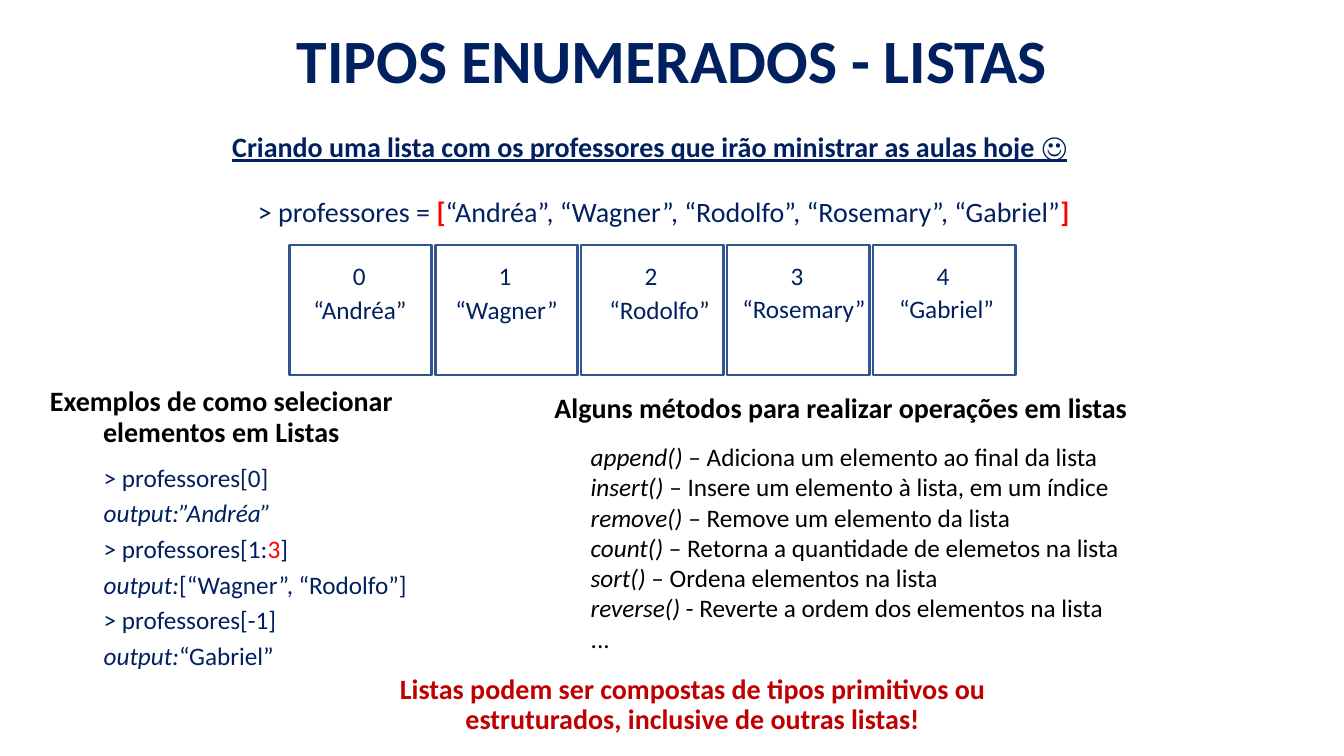
from dataclasses import dataclass

from pptx import Presentation
from pptx.dml.color import RGBColor
from pptx.enum.shapes import MSO_SHAPE
from pptx.enum.text import MSO_ANCHOR, MSO_AUTO_SIZE, PP_ALIGN
from pptx.util import Inches, Pt

RECTANGLE = MSO_SHAPE.RECTANGLE
TOP, MIDDLE = MSO_ANCHOR.TOP, MSO_ANCHOR.MIDDLE
FIT_SHAPE, FIXED = MSO_AUTO_SIZE.SHAPE_TO_FIT_TEXT, MSO_AUTO_SIZE.NONE
LEFT, CENTER = PP_ALIGN.LEFT, PP_ALIGN.CENTER


@dataclass(frozen=True)
class Theme:
    font: str = "Calibri"
    navy: str = "002060"
    red: str = "FF0000"
    dark_red: str = "C00000"
    black: str = "000000"
    white: str = "FFFFFF"
    border: str = "325491"
    title: int = 44
    heading: int = 20
    body: int = 18


THEME = Theme()


class SlideBuilder:
    """Places elements by percentages of the slide's width and height."""

    def __init__(self, deck, theme):
        self.theme = theme
        self.width, self.height = deck.slide_width, deck.slide_height
        self.slide = deck.slides.add_slide(deck.slide_layouts[6])

    def area(self, left, top, width, height):
        return (round(left * self.width / 100), round(top * self.height / 100),
                round(width * self.width / 100), round(height * self.height / 100))

    def span(self, para, text, size, color, styles):
        span = para.add_run()
        span.text = text
        font = span.font
        font.name, font.size = self.theme.font, Pt(size)
        font.color.rgb = RGBColor.from_string(styles.get("color", color))
        font.bold = styles.get("bold", False)
        font.italic = styles.get("italic", False)
        font.underline = styles.get("underline", False)

    def text(self, place, paragraphs, size, color, align=LEFT, anchor=TOP,
             spaced=False, wrap=True, grow=False):
        """Each paragraph is a list of (text, styles) pairs."""
        frame = self.slide.shapes.add_textbox(*self.area(*place)).text_frame
        frame.word_wrap = wrap
        frame.auto_size = FIT_SHAPE if grow else FIXED
        frame.vertical_anchor = anchor
        for number, spans in enumerate(paragraphs):
            para = frame.add_paragraph() if number else frame.paragraphs[0]
            para.alignment = align
            if spaced:
                para.line_spacing = 0.9
                para.space_after = Pt(6)
                para._p.get_or_add_pPr().set("marL", str(Inches(0.06)))
            for text, styles in spans:
                self.span(para, text, size, color, styles)

    def line(self, place, spans, color, align=LEFT, size=THEME.heading):
        self.text(place, [spans], size, color, align, MIDDLE, spaced=True)

    def cell(self, place):
        box = self.slide.shapes.add_shape(RECTANGLE, *self.area(*place))
        box.shadow.inherit = False
        box.fill.solid()
        box.fill.fore_color.rgb = RGBColor.from_string(self.theme.white)
        box.line.color.rgb = RGBColor.from_string(self.theme.border)
        box.line.width = Pt(1.75)


BOLD, ITALIC = {"bold": True}, {"italic": True}
BRACKET = {"bold": True, "color": THEME.red}

# Name, inset from the cell's left side, top and width of its label
TEACHERS = [
    ("“Andréa”", 1.05, 38.27, 8.48),
    ("“Wagner”", 0.75, 38.27, 9.23),
    ("“Rodolfo”", 1.35, 38.27, 9.08),
    ("“Rosemary”", 0.38, 38.13, 10.73),
    ("“Gabriel”", 1.2, 38.13, 8.63),
]
CELL_LEFT, CELL_STEP = 21.53, 10.86

EXAMPLES = [
    [("> professores[0]", {})],
    [("output:”Andréa”", ITALIC)],
    [("> professores[1:", {}), ("3", {"color": THEME.red}), ("]", {})],
    [("output:", ITALIC), ("[“Wagner”, “Rodolfo”]", {})],
    [("> professores[-1]", {})],
    [("output:", ITALIC), ("“Gabriel”", {})],
]

METHODS = [
    ("append()", " – Adiciona um elemento ao final da lista"),
    ("insert()", " – Insere um elemento à lista, em um índice"),
    ("remove()", " – Remove um elemento da lista"),
    ("count()", " – Retorna a quantidade de elemetos na lista"),
    ("sort()", " – Ordena elementos na lista"),
    ("reverse()", " - Reverte a ordem dos elementos na lista"),
]


def main():
    deck = Presentation()
    deck.slide_width, deck.slide_height = Inches(13.33), Inches(7.5)
    page = SlideBuilder(deck, THEME)

    # Title and subtitle
    page.text((2.25, 2.27, 95.57, 11.2), [[("TIPOS ENUMERADOS - LISTAS", BOLD)]],
              THEME.title, THEME.navy, CENTER, grow=True)
    page.line((15.15, 15.87, 65.94, 7.6),
              [("Criando uma lista com os professores que irão ministrar as aulas hoje ☺",
                {"bold": True, "underline": True})], THEME.navy, CENTER)

    # List definition
    names = ", ".join(teacher[0] for teacher in TEACHERS)
    page.line((18, 24.4, 65.94, 7.6),
              [("> professores = ", {}), ("[", BRACKET), (names, {}), ("]", BRACKET)],
              THEME.navy)

    # Cells with index and name
    for index, (name, inset, top, width) in enumerate(TEACHERS):
        left = CELL_LEFT + index * CELL_STEP
        page.cell((left, 32.4, 10.58, 17.2))
        page.text((left + inset, top, width, 5.33), [[(name, {})]],
                  THEME.body, THEME.navy, wrap=False, grow=True)
        page.line((left + 3.53, 33.73, 2.85, 6), [(str(index), {})],
                  THEME.navy, size=THEME.body)

    # Selection examples
    page.line((1.35, 51.47, 29.78, 7.6),
              [("Exemplos de como selecionar elementos em Listas", BOLD)],
              THEME.black, CENTER)
    page.text((6.53, 60.93, 24.98, 28.8), EXAMPLES, THEME.body, THEME.navy,
              spaced=True, grow=True)

    # List methods
    page.line((40.06, 50.4, 47.56, 7.6),
              [("Alguns métodos para realizar operações em listas", BOLD)], THEME.black)
    methods = [[(method, ITALIC), (purpose, {})] for method, purpose in METHODS]
    page.text((43.21, 57.73, 50.04, 29.6), methods + [[("...", {})]],
              THEME.body, THEME.black, grow=True)

    # Closing remark
    page.line((23.93, 89.47, 54.76, 7.6),
              [("Listas podem ser compostas de tipos primitivos ou estruturados, "
                "inclusive de outras listas!", BOLD)], THEME.dark_red, CENTER)

    deck.save("out.pptx")


if __name__ == "__main__":
    main()
